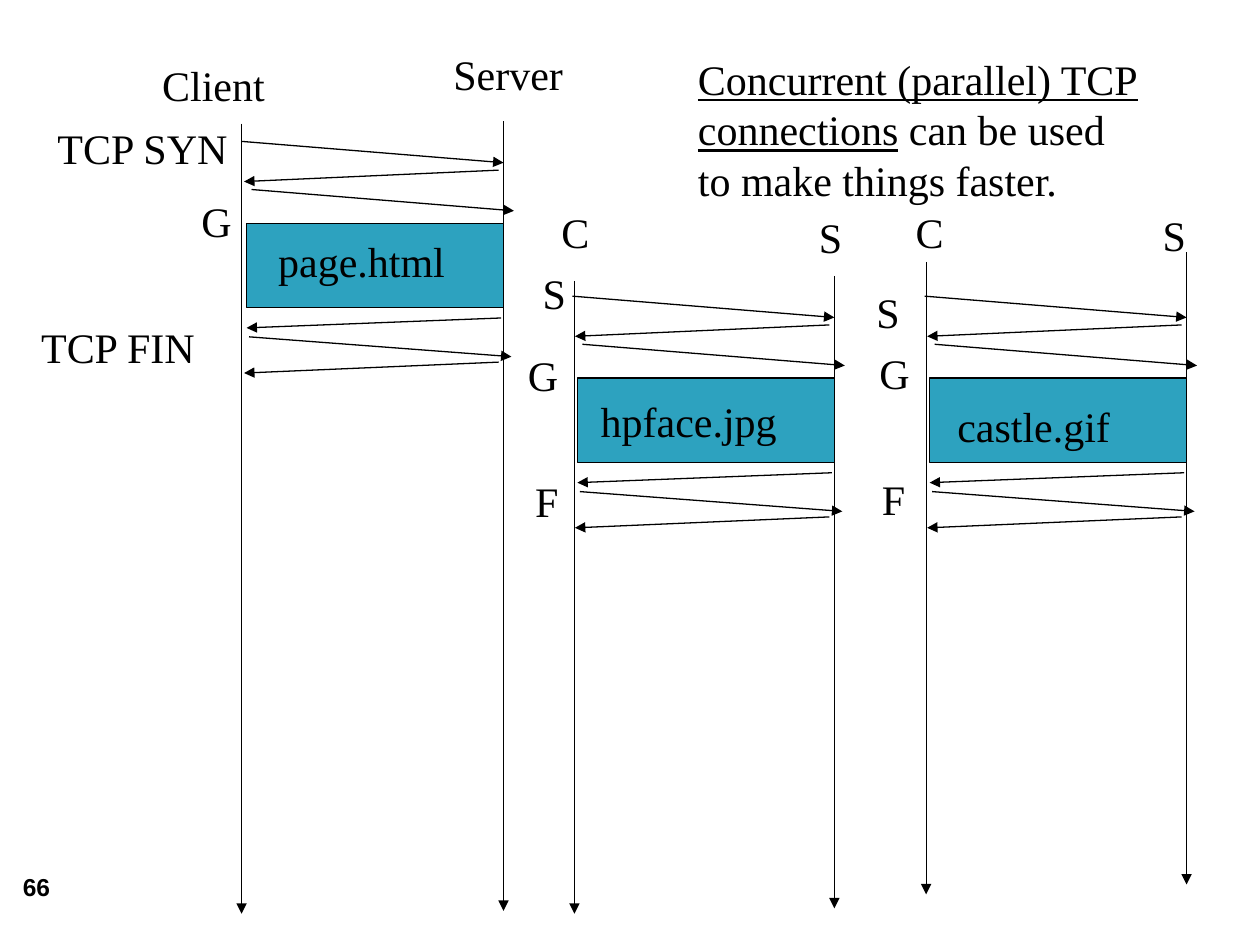
from dataclasses import dataclass

import pptx
import pptx.dml.color
import pptx.enum.shapes
import pptx.enum.text
import pptx.oxml
import pptx.oxml.ns
import pptx.util
from pptx.util import Cm

COLORS = {"ink": "000000", "response": "2DA2BF"}
LABEL_FONT = {"name": "Times New Roman", "size": pptx.util.Pt(24)}
NUMBER_FONT = {"name": "Arial", "size": pptx.util.Pt(14), "bold": True}
LINE_WIDTH = pptx.util.Pt(0.75)
LABEL_HEIGHT = 1.27


# All lengths below are centimetres.
@dataclass(frozen=True)
class Label:
    text: str
    left: float
    top: float
    width: float


@dataclass(frozen=True)
class Lifeline:
    x: float
    top: float
    bottom: float


@dataclass(frozen=True)
class Exchange:
    """One TCP connection, placed by the start of its SYN arrow."""
    left: float
    top: float
    labels: tuple[Label, ...]


LIFELINES = (
    Lifeline(4.87, 2.49, 18.42), Lifeline(10.15, 2.44, 18.36),
    Lifeline(11.58, 5.66, 18.42), Lifeline(16.82, 5.56, 18.31),
    Lifeline(18.67, 5.28, 18.03), Lifeline(23.92, 5.08, 17.83),
)

# Arrows (from x, from y, to x, to y) and response box, relative to an exchange
HANDSHAKE = ((0, 0, 5.28, 0.43), (5.18, 0.58, 0.05, 0.81), (0.2, 0.97, 5.49, 1.4))
TEARDOWN = ((5.23, 3.56, 0.1, 3.76), (0.15, 3.94, 5.44, 4.34), (5.18, 4.45, 0.05, 4.67))
RESPONSE = (0.1, 1.65, 5.18, 1.7)

EXCHANGES = (
    Exchange(4.87, 2.85, (
        Label("TCP SYN", 0.91, 2.34, 4), Label("G", 3.81, 3.81, 1.14),
        Label("page.html", 5.36, 4.62, 3.95), Label("TCP FIN", 0.58, 6.35, 3.68))),
    Exchange(11.54, 5.97, (
        Label("S", 10.69, 5.26, 1), Label("G", 10.39, 6.93, 1.14),
        Label("hpface.jpg", 11.86, 7.85, 4.12), Label("F", 10.54, 9.47, 1))),
    Exchange(18.64, 5.97, (
        Label("S", 17.42, 5.66, 1), Label("G", 17.48, 6.88, 1.14),
        Label("castle.gif", 19.05, 7.95, 3.65), Label("F", 17.53, 9.42, 1))),
)

HEADINGS = (
    Label("Client", 3.02, 1.07, 2.62), Label("Server", 8.89, 0.86, 2.77),
    Label("C", 11.07, 4.04, 1.09), Label("S", 16.26, 4.14, 1),
    Label("C", 18.21, 4.04, 1.09), Label("S", 23.19, 4.09, 1),
)

# Paragraphs of (text, underlined) runs
MESSAGE = (
    (("Concurrent (parallel) TCP", True),),
    (("connections", True), (" can be used", False)),
    (("to make things faster.", False),),
)


def color(name: str) -> pptx.dml.color.RGBColor:
    return pptx.dml.color.RGBColor.from_string(COLORS[name])


def add_run(paragraph, text: str, font_format: dict) -> None:
    run = paragraph.add_run()
    run.text = text
    for attribute, value in font_format.items():
        setattr(run.font, attribute, value)
    run.font.color.rgb = color("ink")


def add_text_frame(slide, left: float, top: float, width: float, height: float):
    text_frame = slide.shapes.add_textbox(Cm(left), Cm(top), Cm(width), Cm(height)).text_frame
    text_frame.word_wrap = False
    text_frame.auto_size = pptx.enum.text.MSO_AUTO_SIZE.SHAPE_TO_FIT_TEXT
    return text_frame


def add_label(slide, label: Label) -> None:
    text_frame = add_text_frame(slide, label.left, label.top, label.width, LABEL_HEIGHT)
    add_run(text_frame.paragraphs[0], label.text, LABEL_FONT)


def add_arrow(slide, x1: float, y1: float, x2: float, y2: float) -> None:
    arrow = slide.shapes.add_connector(
        pptx.enum.shapes.MSO_CONNECTOR.STRAIGHT, Cm(x1), Cm(y1), Cm(x2), Cm(y2))
    arrow.line.color.rgb = color("ink")
    arrow.line.width = LINE_WIDTH
    namespace = pptx.oxml.ns.nsdecls("a")
    arrow.line._get_or_add_ln().append(
        pptx.oxml.parse_xml(f'<a:tailEnd {namespace} type="triangle"/>'))
    arrow._element.spPr.append(pptx.oxml.parse_xml(f"<a:effectLst {namespace}/>"))


def add_exchange(slide, exchange: Exchange) -> None:
    for x1, y1, x2, y2 in HANDSHAKE + TEARDOWN:
        add_arrow(slide, exchange.left + x1, exchange.top + y1,
                  exchange.left + x2, exchange.top + y2)
    left, top, width, height = RESPONSE
    box = slide.shapes.add_shape(
        pptx.enum.shapes.MSO_SHAPE.RECTANGLE, Cm(exchange.left + left),
        Cm(exchange.top + top), Cm(width), Cm(height))
    box.shadow.inherit = False
    box.fill.solid()
    box.fill.fore_color.rgb = color("response")
    box.line.color.rgb = color("ink")
    box.line.width = LINE_WIDTH
    for label in exchange.labels:
        add_label(slide, label)


def add_message(slide) -> None:
    text_frame = add_text_frame(slide, 13.82, 0.95, 9.45, 3.3)
    for index, runs in enumerate(MESSAGE):
        paragraph = text_frame.add_paragraph() if index else text_frame.paragraphs[0]
        for text, underlined in runs:
            add_run(paragraph, text, LABEL_FONT | {"underline": underlined})


def add_slide_number(slide) -> None:
    text_frame = add_text_frame(slide, 0, 17.35, 1.47, 1.07)
    text_frame.auto_size = pptx.enum.text.MSO_AUTO_SIZE.NONE
    text_frame.vertical_anchor = pptx.enum.text.MSO_ANCHOR.MIDDLE
    paragraph = text_frame.paragraphs[0]
    paragraph.alignment = pptx.enum.text.PP_ALIGN.CENTER
    add_run(paragraph, "66", NUMBER_FONT)


def main() -> None:
    presentation = pptx.Presentation()
    presentation.slide_width, presentation.slide_height = Cm(25.4), Cm(19.05)
    slide = presentation.slides.add_slide(presentation.slide_layouts[6])

    # Time axes of clients and servers
    for lifeline in LIFELINES:
        add_arrow(slide, lifeline.x, lifeline.top, lifeline.x, lifeline.bottom)

    # Connections
    for exchange in EXCHANGES:
        add_exchange(slide, exchange)

    # Headings, message and slide number
    for heading in HEADINGS:
        add_label(slide, heading)
    add_message(slide)
    add_slide_number(slide)

    presentation.save("out.pptx")


if __name__ == "__main__":
    main()
